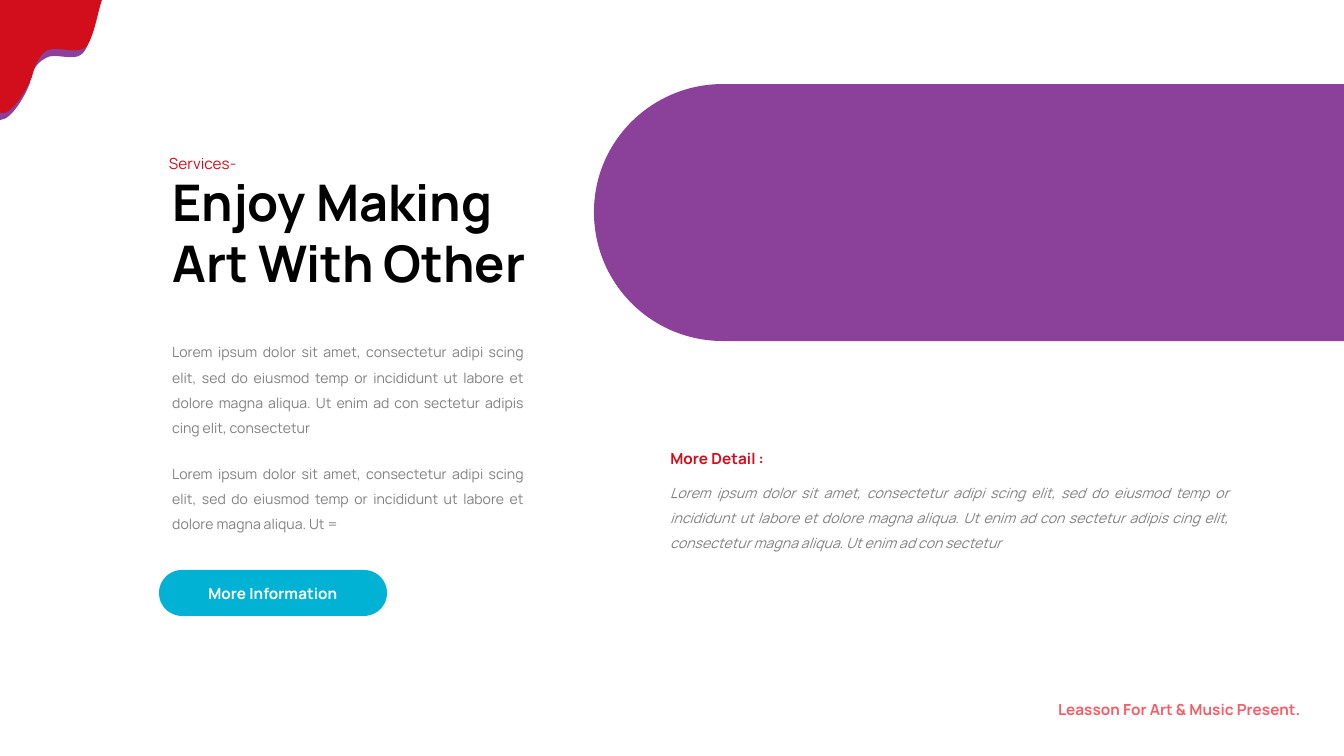
"""Build the services slide with its pill banner, paint drip and text blocks."""
from dataclasses import dataclass

import lxml.etree
import pptx
import pptx.dml.color
import pptx.enum.shapes
import pptx.enum.text
import pptx.oxml.ns
import pptx.util

PX = 914400 / 134.4
FONT = "Manrope"
PURPLE, RED, CYAN, CORAL = "8B409A", "D20E1C", "01B2D4", "F45E69"
GREY, BLACK, WHITE = "808080", "000000", "FFFFFF"
ALIGN = pptx.enum.text.PP_ALIGN
LEFT_X, RIGHT_X = 159, 657
LABEL_SIZE = 8.25

Point = tuple[int, int]
Curve = tuple[Point, Point, Point]


@dataclass
class Outline:
    """A filled outline: straight corners first, then Bezier curves."""

    corners: list[Point]
    curves: list[Curve]
    color: str


@dataclass
class TextBlock:
    """A one-paragraph text box."""

    text: str
    box: tuple[int, int, int, int]
    size: float = 7.5
    color: str = GREY
    bold: bool = False
    italic: bool = False
    align: ALIGN = ALIGN.JUSTIFY
    spacing: float = 1.5
    inset: tuple[int, int] | None = None


OUTLINES = [
    Outline([(723, 84), (1344, 84), (1344, 341), (723, 341)],
            [((652, 341), (594, 284), (594, 212)),
             ((594, 141), (652, 84), (723, 84))], PURPLE),
    Outline([(0, 8), (98, 8)],
            [((95, 19), (91, 46), (82, 54)), ((74, 62), (54, 52), (46, 58)),
             ((36, 63), (32, 71), (30, 83)), ((26, 94), (12, 120), (0, 120))], PURPLE),
    Outline([(0, 112), (0, 0), (102, 0)],
            [((98, 11), (94, 38), (86, 47)), ((77, 55), (58, 46), (48, 50)),
             ((39, 55), (35, 65), (32, 77)), ((28, 87), (12, 116), (1, 113))], RED),
]

LOREM = ("Lorem ipsum dolor sit amet, consectetur adipi scing elit, sed do eiusmod "
         "temp or incididunt ut labore et dolore magna aliqua. Ut ")
ENIM = LOREM + "enim ad con sectetur adipis cing elit, consectetur"

TEXTS = [
    TextBlock("Leasson For Art & Music Present.", (933, 686, 378, 38), LABEL_SIZE, CORAL,
              bold=True, align=ALIGN.RIGHT, inset=(10, 5)),
    TextBlock("Enjoy Making Art With Other", (LEFT_X, 165, 419, 136), 27, BLACK,
              bold=True, align=ALIGN.LEFT, spacing=1.0),
    TextBlock("Services-", (LEFT_X, 140, 169, 38), LABEL_SIZE, RED, inset=(10, 5)),
    TextBlock(ENIM, (LEFT_X, 329, 378, 116)),
    TextBlock(LOREM + "=", (LEFT_X, 450, 378, 90)),
    TextBlock(ENIM + " magna aliqua. Ut enim ad con sectetur", (RIGHT_X, 469, 585, 90),
              italic=True),
    TextBlock("More Detail :", (RIGHT_X, 433, 159, 42), LABEL_SIZE, RED, bold=True),
]


def px(value: float) -> int:
    """Turn px into EMU."""
    return round(value * PX)


def rgb(color: str) -> pptx.dml.color.RGBColor:
    """Turn a hex string into a colour."""
    return pptx.dml.color.RGBColor.from_string(color)


def paint(sp, color: str) -> None:
    """Give a shape a plain fill without line or shadow."""
    sp.shadow.inherit = False
    sp.fill.solid()
    sp.fill.fore_color.rgb = rgb(color)
    sp.line.fill.background()


def style(p, size: float, color: str, bold: bool, italic: bool = False) -> None:
    """Format the runs of a paragraph."""
    for r in p.runs:
        r.font.name = FONT
        r.font.size = pptx.util.Pt(size)
        r.font.bold = bold
        r.font.italic = italic
        r.font.color.rgb = rgb(color)


def bend(sp, curves: list[Curve]) -> None:
    """Turn the last line segments of a freeform into Bezier curves."""
    qn = pptx.oxml.ns.qn
    segments = list(sp.element.iter(qn("a:lnTo")))[-len(curves):]
    for segment, curve in zip(segments, curves):
        segment.tag = qn("a:cubicBezTo")
        segment.clear()
        for x, y in curve:
            lxml.etree.SubElement(segment, qn("a:pt"),
                                  x=str(px(x) - sp.left), y=str(px(y) - sp.top))


def draw_outline(s, outline: Outline) -> None:
    """Draw a filled curved outline."""
    points = outline.corners + [curve[-1] for curve in outline.curves]
    first, *rest = [(px(x), px(y)) for x, y in points]
    builder = s.shapes.build_freeform(*first)
    builder.add_line_segments(rest, close=True)
    sp = builder.convert_to_shape()
    bend(sp, outline.curves)
    paint(sp, outline.color)


def draw_text(s, block: TextBlock) -> None:
    """Draw a text box."""
    tf = s.shapes.add_textbox(*map(px, block.box)).text_frame
    tf.word_wrap = True
    if block.inset:
        tf.margin_left = tf.margin_right = px(block.inset[0])
        tf.margin_top = tf.margin_bottom = px(block.inset[1])
    p = tf.paragraphs[0]
    p.text = block.text
    p.alignment = block.align
    p.line_spacing = block.spacing
    style(p, block.size, block.color, block.bold, block.italic)


def draw_button(s, text: str, box: tuple[int, int, int, int]) -> None:
    """Draw a fully rounded button."""
    kind = pptx.enum.shapes.MSO_SHAPE.ROUNDED_RECTANGLE
    sp = s.shapes.add_shape(kind, *map(px, box))
    sp.adjustments[0] = 0.5
    paint(sp, CYAN)
    tf = sp.text_frame
    tf.vertical_anchor = pptx.enum.text.MSO_ANCHOR.MIDDLE
    p = tf.paragraphs[0]
    p.text = text
    p.alignment = ALIGN.CENTER
    style(p, LABEL_SIZE, WHITE, True)


def main() -> None:
    """Build and save the slide."""
    prs = pptx.Presentation()
    prs.slide_width, prs.slide_height = px(1344), px(756)
    s = prs.slides.add_slide(prs.slide_layouts[6])
    for outline in OUTLINES:
        draw_outline(s, outline)
    for block in TEXTS:
        draw_text(s, block)
    draw_button(s, "More Information", (LEFT_X, 570, 228, 46))
    prs.save("out.pptx")


if __name__ == "__main__":
    main()
